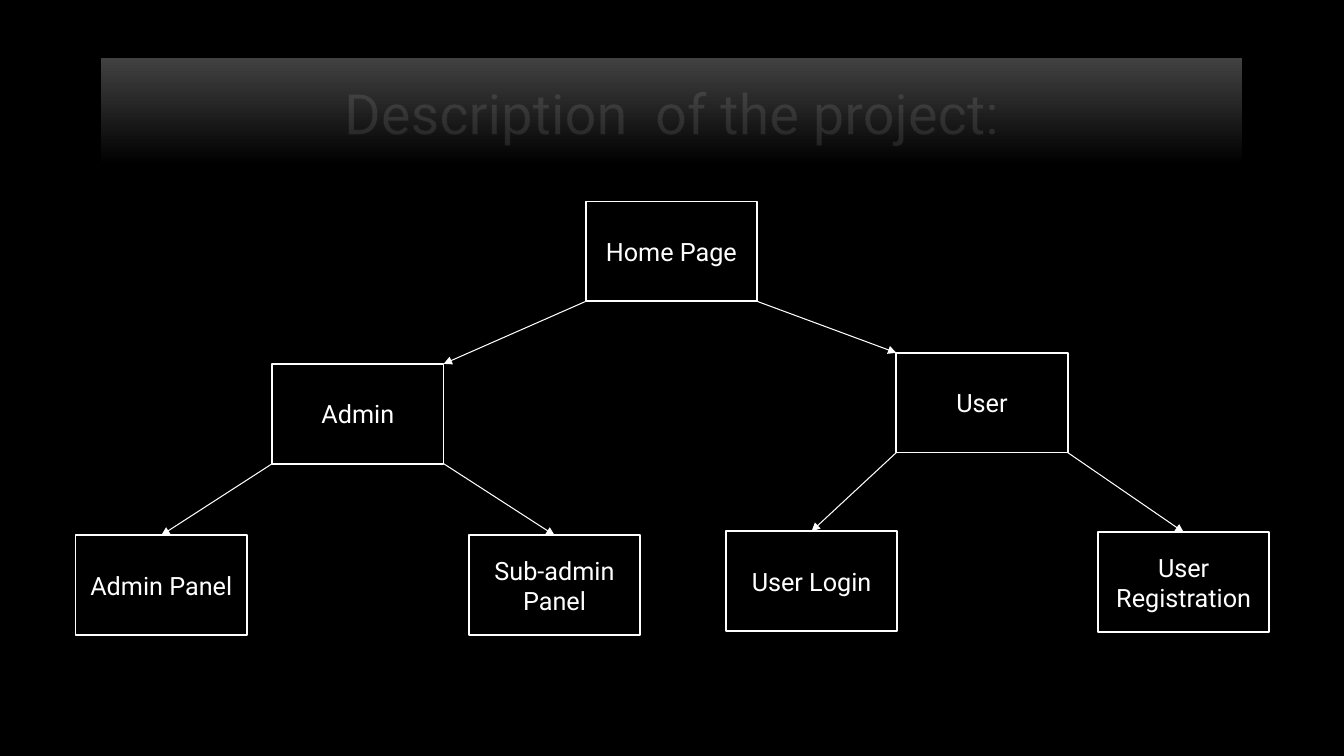
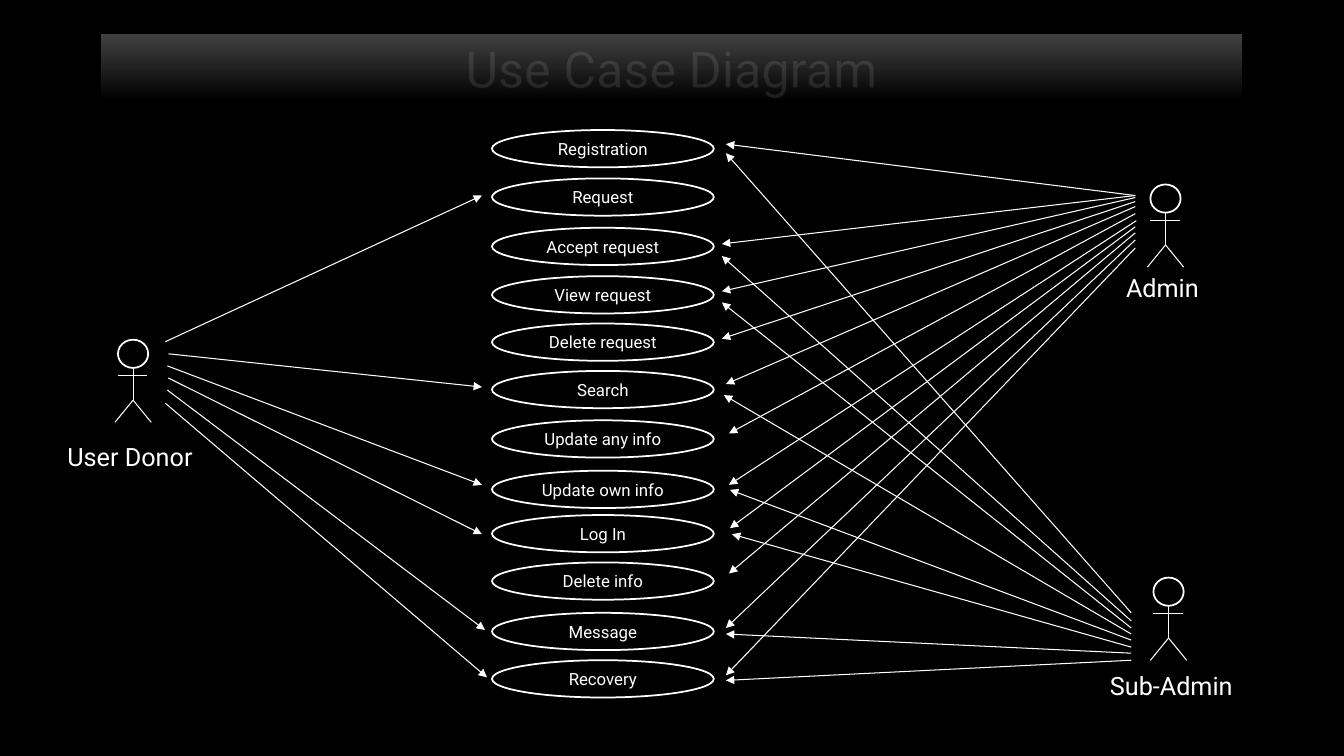
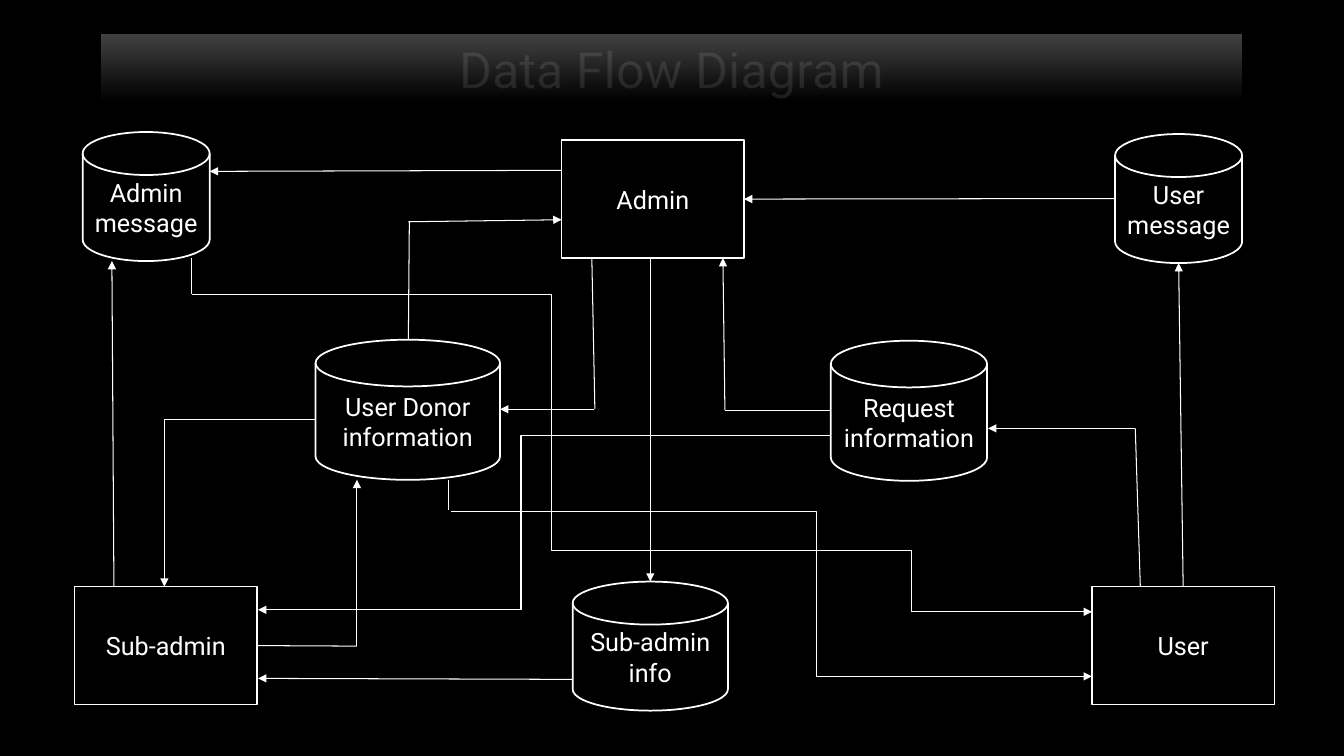
from lxml.etree import SubElement
from pptx import Presentation
from pptx.dml.color import RGBColor
from pptx.enum.shapes import MSO_CONNECTOR, MSO_SHAPE
from pptx.enum.text import MSO_ANCHOR, MSO_AUTO_SIZE, PP_ALIGN
from pptx.oxml import parse_xml
from pptx.oxml.ns import nsdecls, qn
from pptx.util import Inches, Pt

COLORS = {"back": "000000", "ink": "FFFFFF", "band": "414141", "edge": "404040"}
FONT = "Roboto"
RECT, OVAL = MSO_SHAPE.RECTANGLE, MSO_SHAPE.OVAL
DISK = MSO_SHAPE.FLOWCHART_MAGNETIC_DISK


def color(name):
    """Return a palette colour."""
    return RGBColor.from_string(COLORS[name])


def write(frame, text, size, align):
    """Write one run into a text frame."""
    frame.word_wrap = True
    para = frame.paragraphs[0]
    para.alignment = align
    run = para.add_run()
    run.text = text
    run.font.name = FONT
    run.font.size = Pt(size)
    run.font.color.rgb = color("ink")
    return run


def page(deck, text, top, height, size):
    """Add a slide with its title band."""
    slide = deck.slides.add_slide(deck.slide_layouts[5])
    title = slide.shapes.title
    title.left, title.top = Inches(1), Inches(top)
    title.width, title.height = Inches(11.32), Inches(height)
    title.fill.gradient()
    title.fill.gradient_angle = 270
    for stop, name in zip(title.fill.gradient_stops, ("band", "back")):
        stop.color.rgb = color(name)
    frame = title.text_frame
    frame.auto_size = MSO_AUTO_SIZE.NONE
    frame.vertical_anchor = MSO_ANCHOR.MIDDLE
    run = write(frame, text, size, PP_ALIGN.CENTER)
    edge = parse_xml(
        f'<a:ln {nsdecls("a")} w="9525"><a:solidFill><a:srgbClr val="{COLORS["edge"]}">'
        '<a:alpha val="10000"/></a:srgbClr></a:solidFill><a:prstDash val="solid"/></a:ln>')
    run.font._element.insert(0, edge)
    return slide


def node(slide, kind, text, box, size=18):
    """Add an outlined shape with centred text."""
    shape = slide.shapes.add_shape(kind, *map(Inches, box))
    shape.shadow.inherit = False
    shape.fill.background()
    shape.line.color.rgb = color("ink")
    shape.line.width = Pt(1.25)
    if text:
        shape.text_frame.vertical_anchor = MSO_ANCHOR.MIDDLE
        write(shape.text_frame, text, size, PP_ALIGN.CENTER)
    return shape


def link(slide, start, end, arrow=True, bend=None):
    """Draw a straight or bent line between two points in EMU."""
    kind = MSO_CONNECTOR.STRAIGHT if bend is None else MSO_CONNECTOR.ELBOW
    line = slide.shapes.add_connector(kind, *start, *end)
    line.line.color.rgb = color("ink")
    line.line.width = Pt(0.75)
    props = line._element.spPr
    if arrow:
        SubElement(props.find(qn("a:ln")), qn("a:tailEnd"), type="triangle")
    if bend is not None:
        geom = props.find(qn("a:prstGeom"))
        guides = geom.find(qn("a:avLst"))
        if guides is None:
            guides = SubElement(geom, qn("a:avLst"))
        SubElement(guides, qn("a:gd"), name="adj1", fmla=f"val {round(bend * 100000)}")
    SubElement(props, qn("a:effectLst"))
    return line


def wire(slide, x, y, ends, arrow=True, bend=None):
    """Draw a line given as four inches from an origin."""
    x1, y1, x2, y2 = ends
    start = Inches(x + x1), Inches(y + y1)
    end = Inches(x + x2), Inches(y + y2)
    return link(slide, start, end, arrow, bend)


def tree(slide, x, y):
    """Draw the page tree from its top left corner."""
    places = {
        "Home Page": (5.06, 0), "Admin": (1.95, 1.61), "User": (8.14, 1.5),
        "User Registration": (10.14, 3.28), "User Login": (6.45, 3.27),
        "Sub-admin Panel": (3.9, 3.31), "Admin Panel": (0, 3.31),
    }
    nodes = {text: node(slide, RECT, text, (x + dx, y + dy, 1.7, 0.99))
             for text, (dx, dy) in places.items()}
    pairs = (("Home Page", "Admin", "User"),
             ("Admin", "Admin Panel", "Sub-admin Panel"),
             ("User", "User Login", "User Registration"))
    for name, *kids in pairs:
        root = nodes[name]
        for side, kid in enumerate(kids):
            leaf = nodes[kid]
            start = root.left + side * root.width, root.top + root.height
            end = leaf.left + (1 - side) * leaf.width, leaf.top
            line = link(slide, start, end)
            if name != "Home Page":
                line.end_connect(leaf, 0)


def actor(slide, x, y, text, dx, dy, width):
    """Draw a stick figure from its head, with a label."""
    node(slide, OVAL, "", (x, y, 0.3, 0.28))
    limbs = ((0, 0.36, 0.29, 0.36), (0.15, 0.28, 0.15, 0.6),
             (0.15, 0.6, -0.03, 0.82), (0.15, 0.6, 0.33, 0.82))
    for limb in limbs:
        wire(slide, x, y, limb, False)
    label = slide.shapes.add_textbox(*map(Inches, (x + dx, y + dy, width, 0.4)))
    write(label.text_frame, text, 18, PP_ALIGN.LEFT)


def cases(slide, x, y):
    """Stack the use cases below a corner."""
    rows = (("Registration", 0), ("Request", 0.48), ("Accept request", 0.97),
            ("View request", 1.45), ("Delete request", 1.92), ("Search", 2.39),
            ("Update any info", 2.88), ("Update own info", 3.38), ("Log In", 3.82),
            ("Delete info", 4.29), ("Message", 4.79), ("Recovery", 5.26))
    for text, dy in rows:
        node(slide, OVAL, text, (x, y + dy, 2.2, 0.37), 12)


def fan(slide, x, y, rays):
    """Draw arrows spreading from a point beside an actor."""
    for ray in rays:
        wire(slide, x, y, ray)


def flow(slide, x, y):
    """Draw the data flow from its top left corner."""
    stores = (("Request information", 7.5, 2.07, 1.55, 1.39),
              ("User Donor information", 2.39, 2.06, 1.83, 1.39),
              ("Sub-admin info", 4.94, 4.46, 1.54, 1.28),
              ("Admin message", 0.08, 0, 1.26, 1.28),
              ("User message", 10.32, 0.02, 1.26, 1.28))
    for text, dx, dy, width, height in stores:
        node(slide, DISK, text, (x + dx, y + dy, width, height))
    roles = (("Admin", 4.83, 0.08), ("User", 10.09, 4.51), ("Sub-admin", 0, 4.51))
    admin, user, sub = [node(slide, RECT, text, (x + dx, y + dy, 1.81, 1.17))
                        for text, dx, dy in roles]
    arrows = ((4.83, 0.38, 1.34, 0.39), (5.71, 1.25, 5.71, 4.46),
              (4.94, 5.43, 1.82, 5.42), (0.39, 4.51, 0.37, 1.28),
              (8.3, 4.76, 10.09, 4.76), (6.45, 2.76, 6.43, 1.25),
              (10.52, 2.94, 9.06, 2.94), (0.89, 2.85, 0.89, 4.51),
              (2.8, 5.1, 2.8, 3.45), (5.15, 2.75, 4.22, 2.75),
              (3.31, 0.89, 4.83, 0.87))
    plain = ((1.16, 1.25, 1.16, 1.61), (8.3, 4.15, 8.3, 4.76),
             (3.32, 0.89, 3.31, 2.06), (10.52, 2.94, 10.57, 4.51),
             (0.89, 2.85, 2.39, 2.85), (5.16, 2.75, 5.13, 1.24),
             (3.71, 3.75, 3.71, 3.45), (6.45, 2.76, 7.5, 2.76))
    for ends in arrows:
        wire(slide, x, y, ends)
    for ends in plain:
        wire(slide, x, y, ends, False)
    wire(slide, x, y, (10.99, 4.51, 10.95, 1.3)).begin_connect(user, 0)
    wire(slide, x, y, (10.32, 0.66, 6.64, 0.66)).end_connect(admin, 3)
    wire(slide, x, y, (1.81, 5.1, 2.8, 5.1), False).begin_connect(sub, 3)
    wire(slide, x, y, (1.16, 1.61, 8.3, 4.15), False, 0.5)
    wire(slide, x, y, (3.73, 3.76, 10.09, 5.4), True, 0.57)
    wire(slide, x, y, (7.49, 3.01, 1.82, 4.74), True, 0.54)


def usage(slide):
    """Place the use cases, the actors and their arrows."""
    actor(slide, 1.17, 3.37, "User Donor", -0.6, 0.96, 1.49)
    actor(slide, 11.41, 1.83, "Admin", -0.34, 0.82, 0.97)
    actor(slide, 11.44, 5.73, "Sub-Admin", -0.53, 0.87, 1.59)
    cases(slide, 4.88, 1.29)
    fan(slide, 11.26, 1.94, (
        (0, 0, -4.06, -0.51), (0, 0, -4.1, 0.48), (0, 0.02, -4.1, 0.95),
        (0, 0.06, -4.1, 1.42), (0, 0.11, -4.06, 1.87), (0, 0.18, -4.03, 2.36),
        (0.01, 0.25, -4.03, 2.87), (0, 0.31, -4.02, 3.3), (0, 0.37, -4.03, 3.75),
        (0, 0.44, -4.06, 4.29), (0, 0.52, -4.06, 4.76)))
    fan(slide, 11.22, 6.55, (
        (0, 0, -4.02, 0.2), (0, -0.07, -4.02, -0.26), (0, -0.13, -3.96, -1.25),
        (0, -0.2, -3.98, -1.69), (0, -0.26, -4.04, -2.63), (0, -0.32, -4.06, -3.55),
        (0, -0.39, -4.06, -4.01), (0, -0.47, -4.02, -5.03)))
    fan(slide, 1.64, 3.39, (
        (0, 0, 3.14, -1.45), (0.03, 0.12, 3.14, 0.45), (0.02, 0.24, 3.14, 1.42),
        (0.03, 0.36, 3.14, 1.91), (0.02, 0.48, 3.17, 2.86), (0, 0.61, 3.19, 3.33)))


def main():
    """Build the three slides."""
    deck = Presentation()
    deck.slide_width, deck.slide_height = Inches(13.33), Inches(7.5)
    back = deck.slide_master.background.fill
    back.solid()
    back.fore_color.rgb = color("back")
    tree(page(deck, "Description  of the project:", 0.58, 1.06, 40), 0.75, 2)
    usage(page(deck, "Use Case Diagram", 0.34, 0.66, 36))
    flow(page(deck, "Data Flow Diagram", 0.34, 0.67, 36), 0.74, 1.31)
    deck.save("out.pptx")


if __name__ == "__main__":
    main()
